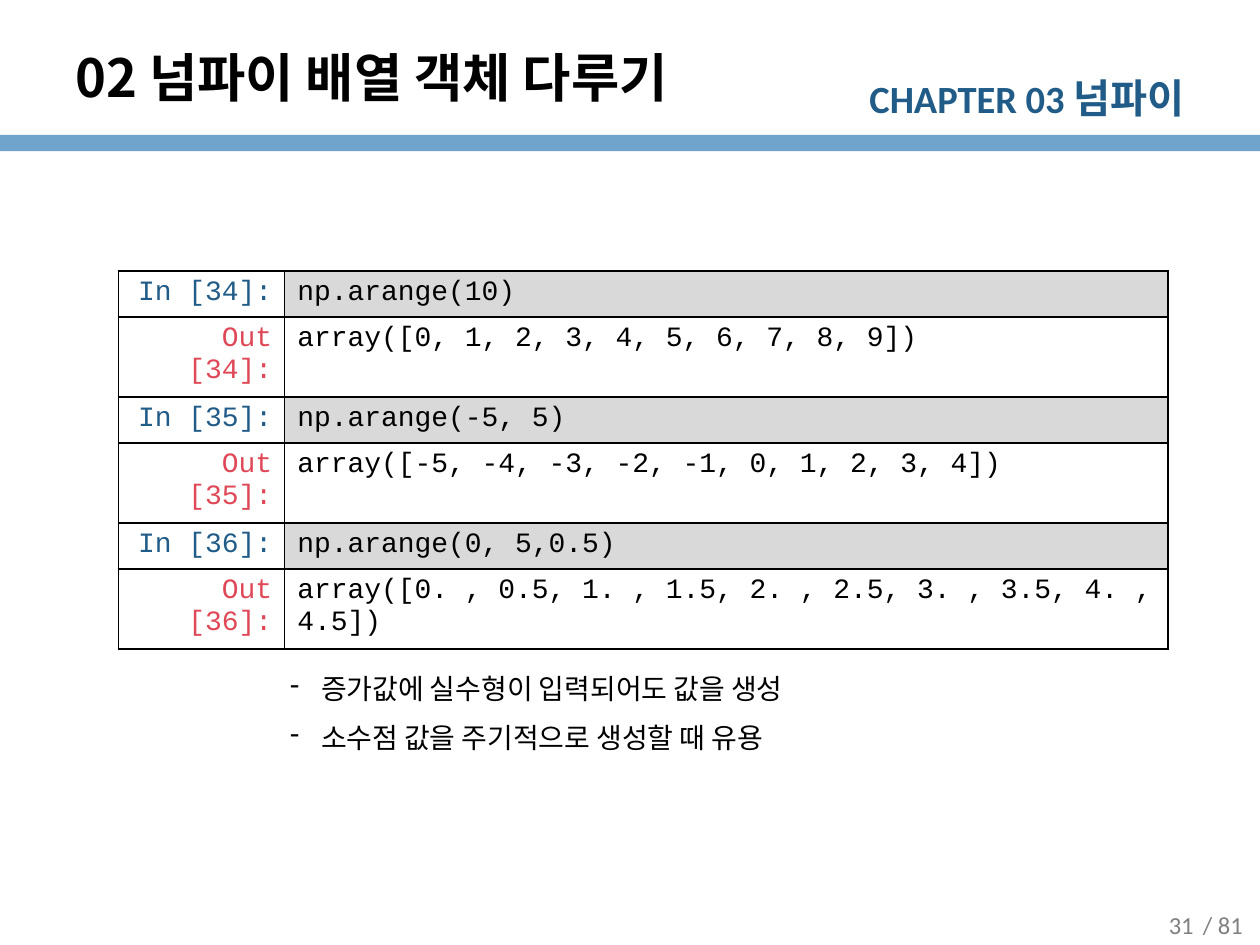
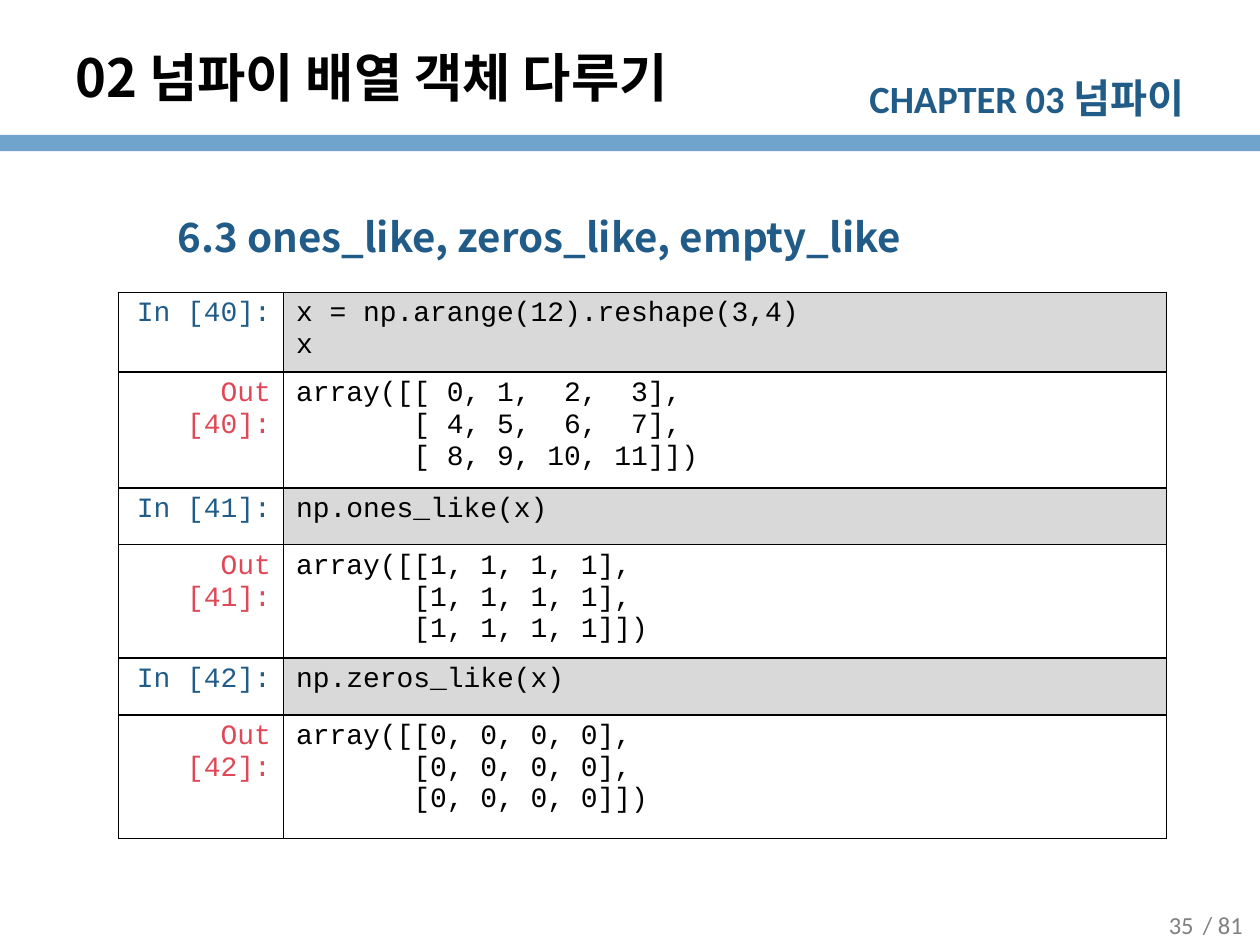
from lxml import etree
from pptx import Presentation
from pptx.dml.color import RGBColor
from pptx.enum.shapes import MSO_SHAPE
from pptx.enum.text import MSO_ANCHOR, PP_ALIGN
from pptx.oxml.ns import qn
from pptx.util import Inches, Pt

RECT = MSO_SHAPE.RECTANGLE
TOP, MIDDLE = MSO_ANCHOR.TOP, MSO_ANCHOR.MIDDLE
LEFT, CENTER, RIGHT = PP_ALIGN.LEFT, PP_ALIGN.CENTER, PP_ALIGN.RIGHT

W, H = Inches(10), Inches(7.5)
COL, ROW = W // 100, H // 75
C = {"band": "71A4CC", "navy": "215C88", "red": "DF4857", "gray": "808080",
     "code": "D9D9D9", "black": "000000", "white": "FFFFFF"}
SANS, MONO, KOREAN = "Calibri", "Courier New", "Noto Sans CJK KR"

TITLE = {"name": KOREAN, "size": Pt(30), "bold": True, "color": "black"}
CHAPTER = {"name": SANS, "size": Pt(22), "bold": True, "color": "navy"}
TOPIC = {"name": KOREAN, "size": Pt(23), "bold": True, "color": "navy"}
NOTE = {"name": KOREAN, "size": Pt(16), "color": "black"}
PAGE = {"name": SANS, "size": Pt(14), "color": "gray"}
CODE = {"name": MONO, "size": Pt(16), "color": "black"}


def write(p, text, fmt, align=LEFT):
    p.alignment = align
    r = p.add_run()
    r.text = text
    for key, value in fmt.items():
        if key == "color":
            r.font.color.rgb = RGBColor.from_string(C[value])
        else:
            setattr(r.font, key, value)
    if fmt["name"] == KOREAN:
        etree.SubElement(r.font._element, qn("a:ea"), typeface=KOREAN)


def add_box(s, x, y, w, h, anchor=TOP):
    tf = s.shapes.add_textbox(int(x * COL), int(y * ROW), int(w * COL), int(h * ROW)).text_frame
    tf.word_wrap = True
    tf.vertical_anchor = anchor
    return tf


slides = [
    {"page": "31", "top": 21.5, "label": 13.2, "rows": [3.3, 5.9] * 3,
     "cells": [
         ("In [34]:", ["np.arange(10)"]),
         ("Out [34]:", ["array([0, 1, 2, 3, 4, 5, 6, 7, 8, 9])"]),
         ("In [35]:", ["np.arange(-5, 5)"]),
         ("Out [35]:", ["array([-5, -4, -3, -2, -1, 0, 1, 2, 3, 4])"]),
         ("In [36]:", ["np.arange(0, 5,0.5)"]),
         ("Out [36]:", ["array([0. , 0.5, 1. , 1.5, 2. , 2.5, 3. , 3.5, 4. , 4.5])"])],
     "notes": ["증가값에 실수형이 입력되어도 값을 생성",
               "소수점 값을 주기적으로 생성할 때 유용"]},
    {"page": "35", "top": 23.2, "label": 13.1, "rows": [4.5, 9.2, 4.5, 7.1, 4.5, 9.8],
     "topic": "6.3 ones_like, zeros_like, empty_like",
     "cells": [
         ("In [40]:", ["x = np.arange(12).reshape(3,4)", "x"]),
         ("Out [40]:", ["array([[ 0, 1,  2,  3],",
                        "       [ 4, 5,  6,  7],",
                        "       [ 8, 9, 10, 11]])"]),
         ("In [41]:", ["np.ones_like(x)"]),
         ("Out [41]:", ["array([[1, 1, 1, 1],",
                        "       [1, 1, 1, 1],",
                        "       [1, 1, 1, 1]])"]),
         ("In [42]:", ["np.zeros_like(x)"]),
         ("Out [42]:", ["array([[0, 0, 0, 0],",
                        "       [0, 0, 0, 0],",
                        "       [0, 0, 0, 0]])"])]},
]

prs = Presentation()
prs.slide_width, prs.slide_height = W, H

for data in slides:
    s = prs.slides.add_slide(prs.slide_layouts[6])

    band = s.shapes.add_shape(RECT, 0, int(10.7 * ROW), W, int(1.3 * ROW))
    band.shadow.inherit = False
    band.fill.solid()
    band.fill.fore_color.rgb = RGBColor.from_string(C["band"])
    band.line.fill.background()

    p = add_box(s, 66.2, 5.3, 28.8, 4.8).paragraphs[0]
    write(p, "CHAPTER 03 ", CHAPTER, RIGHT)
    write(p, "넘파이", {**CHAPTER, "size": Pt(23)}, RIGHT)

    for x, text in ((93.5, "/ 81"), (90.2, data["page"])):
        tf = add_box(s, x, 71.4, 7.1, 3.9, MIDDLE)
        write(tf.paragraphs[0], text, PAGE, CENTER)

    tf = add_box(s, 5, 3, 78.3, 6.2, MIDDLE)
    write(tf.paragraphs[0], "02 넘파이 배열 객체 다루기", TITLE)

    if "topic" in data:
        tf = add_box(s, 5, 14.8, 90, 8)
        tf.margin_top = Pt(8)
        p = tf.paragraphs[0]
        p.line_spacing = 1.25
        p._p.get_or_add_pPr().set("marL", str(Inches(0.81)))
        write(p, data["topic"], TOPIC)

    tbl = s.shapes.add_table(len(data["cells"]), 2, int(9.4 * COL), int(data["top"] * ROW),
                             int(83.3 * COL), int(sum(data["rows"]) * ROW)).table
    tbl.first_row = tbl.horz_banding = False
    for column, width in zip(tbl.columns, (data["label"], 70.1)):
        column.width = int(width * COL)
    for i, (label, lines) in enumerate(data["cells"]):
        tbl.rows[i].height = int(data["rows"][i] * ROW)
        is_input = label.startswith("In")
        label_fmt = {**CODE, "color": "navy" if is_input else "red"}
        columns = (([label], label_fmt, RIGHT, "white"),
                   (lines, CODE, LEFT, "code" if is_input else "white"))
        for j, (texts, fmt, align, fill) in enumerate(columns):
            cell = tbl.cell(i, j)
            tf = cell.text_frame
            for n, text in enumerate(texts):
                write(tf.add_paragraph() if n else tf.paragraphs[0], text, fmt, align)
            tcPr = cell._tc.get_or_add_tcPr()
            for side in ("a:lnL", "a:lnR", "a:lnT", "a:lnB"):
                ln = etree.SubElement(tcPr, qn(side), w=str(Pt(1)))
                color = etree.SubElement(ln, qn("a:solidFill"))
                etree.SubElement(color, qn("a:srgbClr"), val=C["black"])
            cell.fill.solid()
            cell.fill.fore_color.rgb = RGBColor.from_string(C[fill])

    if "notes" in data:
        tf = add_box(s, 7, 51.6, 77, 8.5)
        tf.margin_top = Pt(7.4)
        for n, text in enumerate(data["notes"]):
            p = tf.add_paragraph() if n else tf.paragraphs[0]
            p.line_spacing = 1.25
            p.space_before = Pt(3.8 if n else 0)
            pPr = p._p.get_or_add_pPr()
            pPr.set("marL", str(Inches(1.75)))
            pPr.set("indent", str(Inches(-0.25)))
            color = etree.SubElement(pPr, qn("a:buClr"))
            etree.SubElement(color, qn("a:srgbClr"), val=C["black"])
            etree.SubElement(pPr, qn("a:buChar"), char="‐")
            write(p, text, NOTE)

prs.save("out.pptx")
